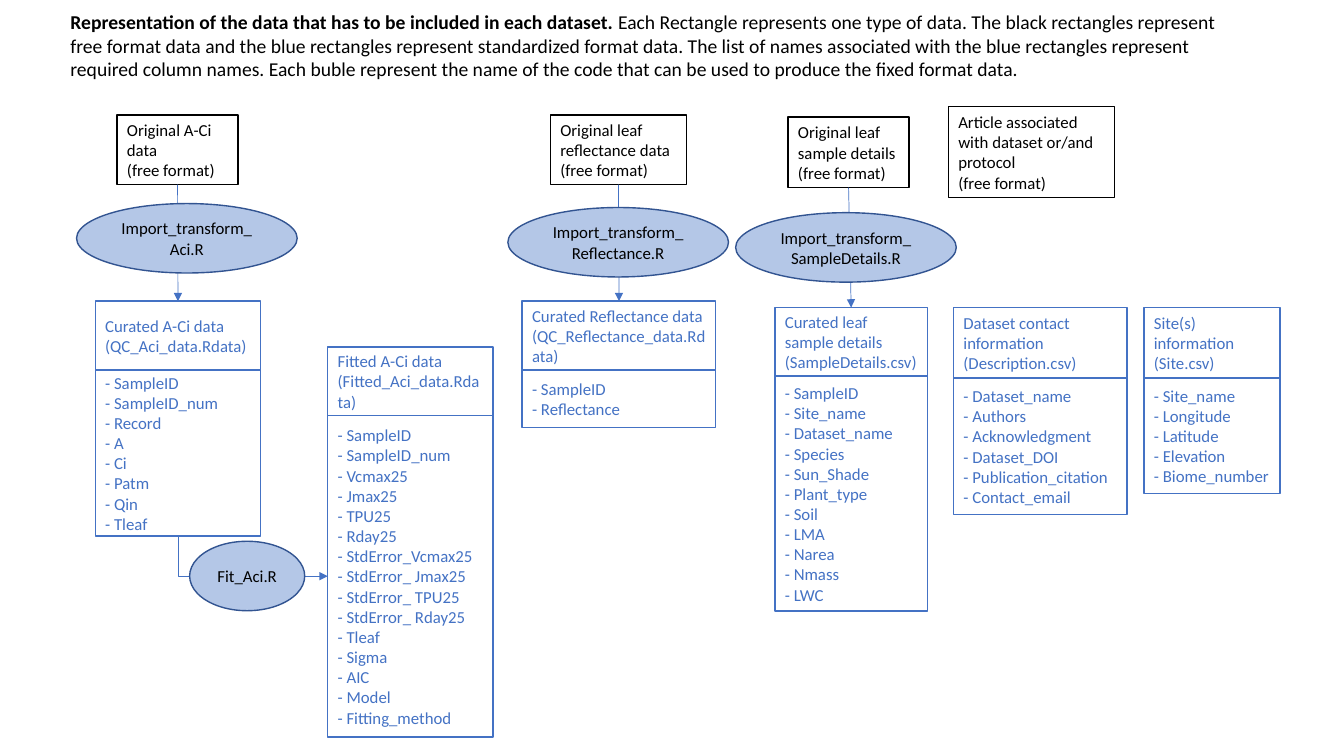
"""Build the slide that maps raw data, import code and curated dataset files."""
from lxml import etree
from pptx import Presentation
from pptx.dml.color import RGBColor
from pptx.enum import shapes, text
from pptx.oxml import ns
from pptx.util import Cm, Pt

BLACK = RGBColor(0x00, 0x00, 0x00)
WHITE = RGBColor(0xFF, 0xFF, 0xFF)
BLUE = RGBColor(0x44, 0x72, 0xC4)
PALE_BLUE = RGBColor(0xB4, 0xC7, 0xE7)
DARK_BLUE = RGBColor(0x32, 0x54, 0x91)
FONT = "Calibri"

LEAD = "Representation of the data that has to be included in each dataset. "
EXPLANATION = (
    "Each Rectangle represents one type of data. The black rectangles represent free format data "
    "and the blue rectangles represent standardized format data. The list of names associated with "
    "the blue rectangles represent required column names. Each buble represent the name of the code "
    "that can be used to produce the fixed format data."
)

FREE_DATA = {
    "aci": ("Original A-Ci data\n(free format)", 2.95, 2.9, 3.05, 1.75),
    "reflectance": ("Original leaf reflectance data (free format)", 13.87, 2.9, 3.43, 1.75),
    "sample": ("Original leaf sample details (free format)", 19.86, 2.95, 3.05, 1.78),
    "article": ("Article associated with dataset or/and protocol\n(free format)", 23.9, 2.69, 4.19, 2.29),
}

# Title, left, top, width, title height, list height, column names
CURATED_DATA = {
    "aci": ("Curated A-Ci data\n(QC_Aci_data.Rdata)", 2.4, 7.59, 4.17, 1.73, 4.19,
            ["SampleID", "SampleID_num", "Record", "A", "Ci", "Patm", "Qin", "Tleaf"]),
    "fitted": ("Fitted A-Ci data\n(Fitted_Aci_data.Rdata)", 8.26, 8.74, 4.17, 1.73, 8.1,
               ["SampleID", "SampleID_num", "Vcmax25", "Jmax25", "TPU25", "Rday25",
                "StdError_Vcmax25", "StdError_ Jmax25", "StdError_ TPU25", "StdError_ Rday25",
                "Tleaf", "Sigma", "AIC", "Model", "Fitting_method"]),
    "reflectance": ("Curated Reflectance data\n(QC_Reflectance_data.Rdata)", 13.16, 7.59, 4.88, 1.73, 1.45,
                    ["SampleID", "Reflectance"]),
    "sample": ("Curated leaf sample details\n(SampleDetails.csv)", 19.53, 7.75, 3.84, 1.73, 5.92,
               ["SampleID", "Site_name", "Dataset_name", "Species", "Sun_Shade", "Plant_type",
                "Soil", "LMA", "Narea", "Nmass", "LWC"]),
    "contact": ("Dataset contact information (Description.csv)", 24.03, 7.75, 4.37, 1.78, 3.43,
                ["Dataset_name", "Authors", "Acknowledgment", "Dataset_DOI",
                 "Publication_citation", "Contact_email"]),
    "site": ("Site(s) information\n(Site.csv)", 28.83, 7.75, 3.43, 1.78, 2.9,
             ["Site_name", "Longitude", "Latitude", "Elevation", "Biome_number"]),
}

CODE_BUBBLES = [
    ("Import_transform_Aci.R", 1.93, 5.13, 5.56),
    ("Import_transform_Reflectance.R", 12.8, 5.23, 5.56),
    ("Import_transform_SampleDetails.R", 18.54, 5.36, 5.56),
    ("Fit_Aci.R", 4.78, 13.64, 2.9),
]
BUBBLE_HEIGHT = 1.75


def format_runs(paragraph, size, color):
    for run in paragraph.runs:
        run.font.name = FONT
        run.font.size = Pt(size)
        run.font.color.rgb = color


def add_title(slide):
    title = slide.shapes.title
    title.left, title.top, title.width, title.height = Cm(1.52), Cm(0.13), Cm(29.97), Cm(2.06)
    title.fill.solid()
    title.fill.fore_color.rgb = WHITE
    frame = title.text_frame
    frame.word_wrap = True
    frame.auto_size = text.MSO_AUTO_SIZE.NONE
    frame.vertical_anchor = text.MSO_ANCHOR.TOP
    paragraph = frame.paragraphs[0]
    paragraph.text = LEAD
    paragraph.alignment = text.PP_ALIGN.LEFT
    paragraph.add_run().text = EXPLANATION
    format_runs(paragraph, 14, BLACK)
    for run, bold in zip(paragraph.runs, (True, False)):
        run.font.bold = bold


def add_box(slide, kind, content, box, line, color, fill=None, align=text.PP_ALIGN.LEFT):
    shape = slide.shapes.add_shape(kind, *map(Cm, box))
    shape.shadow.inherit = False
    if fill is None:
        shape.fill.background()
    else:
        shape.fill.solid()
        shape.fill.fore_color.rgb = fill
    shape.line.color.rgb = line
    shape.line.width = Pt(1)
    frame = shape.text_frame
    frame.word_wrap = True
    frame.vertical_anchor = text.MSO_ANCHOR.MIDDLE
    frame.text = content
    for paragraph in frame.paragraphs:
        paragraph.alignment = align
        format_runs(paragraph, 12, color)
    return shape


def add_arrow(slide, kind, start, start_side, end, end_side):
    connector = slide.shapes.add_connector(kind, 0, 0, 0, 0)
    connector.begin_connect(start, start_side)
    connector.end_connect(end, end_side)
    connector.line.color.rgb = BLUE
    connector.line.width = Pt(0.5)
    properties = connector._element.spPr
    etree.SubElement(properties.find(ns.qn("a:ln")), ns.qn("a:tailEnd"), type="triangle")
    etree.SubElement(properties, ns.qn("a:effectLst"))
    return connector


def add_corner_arrow(slide, start, end):
    connector = add_arrow(slide, shapes.MSO_CONNECTOR.ELBOW, start, 2, end, 1)
    left, top = start.left + start.width // 2, start.top + start.height
    across, down = end.left - left, end.top + end.height // 2 - top
    connector.left, connector.top = left + (across - down) // 2, top + (down - across) // 2
    connector.width, connector.height = down, across
    properties = connector._element.spPr
    properties.find(ns.qn("a:prstGeom")).set("prst", "bentConnector2")
    frame = properties.find(ns.qn("a:xfrm"))
    frame.set("rot", "16200000")
    frame.set("flipH", "1")


def main():
    presentation = Presentation()
    presentation.slide_width, presentation.slide_height = Cm(33.87), Cm(19.05)
    slide = presentation.slides.add_slide(presentation.slide_layouts[5])
    add_title(slide)
    rectangle, oval = shapes.MSO_SHAPE.RECTANGLE, shapes.MSO_SHAPE.OVAL

    free = {name: add_box(slide, rectangle, content, box, BLACK, BLACK)
            for name, (content, *box) in FREE_DATA.items()}
    headers, lists = {}, {}
    for name, (content, left, top, width, height, list_height, columns) in CURATED_DATA.items():
        headers[name] = add_box(slide, rectangle, content, (left, top, width, height), BLUE, BLUE)
        names = "\n".join(f"- {column}" for column in columns)
        lists[name] = add_box(slide, rectangle, names, (left, top + height, width, list_height), BLUE, BLUE)

    for name in ("aci", "reflectance", "sample"):
        add_arrow(slide, shapes.MSO_CONNECTOR.STRAIGHT, free[name], 2, headers[name], 0)
    add_corner_arrow(slide, lists["aci"], lists["fitted"])

    for content, left, top, width in CODE_BUBBLES:
        add_box(slide, oval, content, (left, top, width, BUBBLE_HEIGHT),
                DARK_BLUE, BLACK, PALE_BLUE, text.PP_ALIGN.CENTER)
    presentation.save("out.pptx")


if __name__ == "__main__":
    main()
